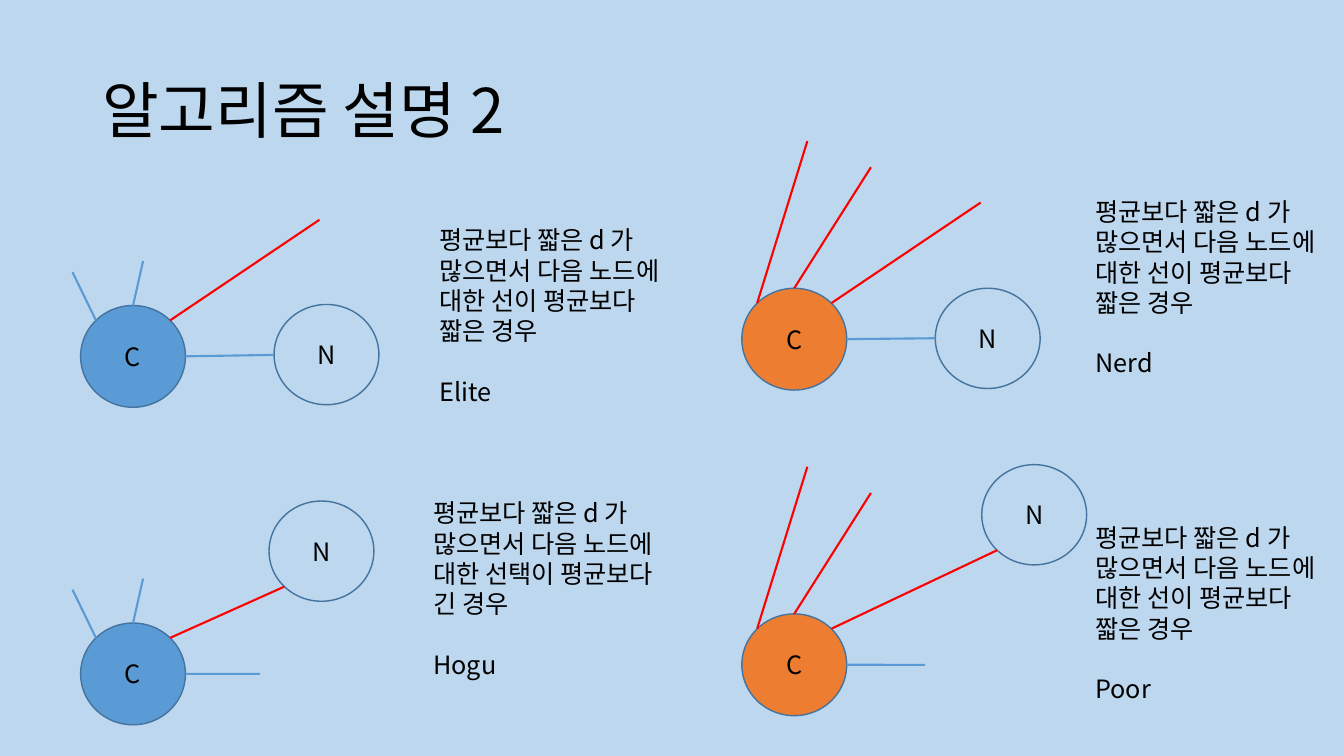
from lxml import etree
from pptx import Presentation
from pptx.dml.color import RGBColor
from pptx.enum.shapes import MSO_CONNECTOR as CONN, MSO_SHAPE as SHAPE
from pptx.enum.text import MSO_ANCHOR as ANCHOR, PP_ALIGN as ALIGN
from pptx.oxml.ns import qn
from pptx.util import Pt

# Content: positions in points; targets and next nodes are relative to the current node
TITLE = "알고리즘 설명 2"
FONT = "Noto Sans CJK KR"
COLORS = {"bg": "BDD7EE", "text": "000000", "outline": "43739E",
          "short": "5B9BD5", "long": "FF0000", "blue": "5B9BD5", "orange": "ED7D31"}
INTRO = ["평균보다 짧은 d 가 ", "많으면서 다음 노드에 "]
SHORTER = ["대한 선이 평균보다 ", "짧은 경우"]
LONGER = ["대한 선택이 평균보다 ", "긴 경우"]
CASES = [
    dict(name="Elite", reason=SHORTER, node=(57.6, 218.2), fill="blue", note=(306.7, 157),
         next=(138.2, -0.7), long_to=(170.6, -61.2), short_to=(138.2, 35.3)),
    dict(name="Hogu", reason=LONGER, node=(57.6, 445), fill="blue", note=(302.4, 352),
         next=(134.6, -87.1), long_to=(145.4, -25.9), short_to=(132 - 3.8, 36.4)),
    dict(name="Nerd", reason=SHORTER, node=(529.9, 205.9), fill="orange", note=(775.4, 136.8),
         next=(138.2, 0), long_to=(170.6, -61.2), short_to=(138.2, 35.7)),
    dict(name="Poor", reason=SHORTER, node=(529.9, 438.5), fill="orange", note=(775.4, 369.4),
         next=(171.4, -106.6), long_to=(182.2, -45.4), short_to=(131, 36.4)),
]
# Two further edges per node colour: edge kind, end from top, end from upper left
SPOKES = {"blue": ("short", (44.6, -31.7), (-5.8, -23.8)),
          "orange": ("long", (92.2, -86.4), (46.8, -105.1))}

# Node size and the points where edges touch it
NODE_W, NODE_H, NEXT_H = 74.9, 72.7, 71.6
DIAG = 0.146
TOP, RIGHT = (NODE_W / 2, 0), (NODE_W, NODE_H / 2)
UPPER_LEFT = (NODE_W * DIAG, NODE_H * DIAG)
UPPER_RIGHT = (NODE_W * (1 - DIAG), NODE_H * DIAG)
NOTE_W, NOTE_H, LINE_H = 197, 138, 21.6

prs = Presentation()
prs.slide_width, prs.slide_height = Pt(960), Pt(540)
s = prs.slides.add_slide(prs.slide_layouts[6])


def color(name):
    return RGBColor.from_string(COLORS[name])


s.background.fill.solid()
s.background.fill.fore_color.rgb = color("bg")


def style(p, size):
    p.font.size, p.font.name = Pt(size), FONT
    p.font.color.rgb = color("text")
    for r in p.runs:
        etree.SubElement(r._r.get_or_add_rPr(), qn("a:ea"), typeface=FONT)


def add_text(x, y, w, h, lines, size):
    tf = s.shapes.add_textbox(Pt(x), Pt(y), Pt(w), Pt(h)).text_frame
    tf.word_wrap = True
    tf.text = "\n".join(lines)
    for p in tf.paragraphs:
        style(p, size)
    return tf


def add_node(origin, offset, height, label, fill=None):
    x, y = origin[0] + offset[0], origin[1] + offset[1]
    sp = s.shapes.add_shape(SHAPE.OVAL, Pt(x), Pt(y), Pt(NODE_W), Pt(height))
    sp.shadow.inherit = False
    if fill:
        sp.fill.solid()
        sp.fill.fore_color.rgb = color(fill)
    else:
        sp.fill.background()
    sp.line.color.rgb, sp.line.width = color("outline"), Pt(1)
    tf = sp.text_frame
    tf.text, tf.vertical_anchor = label, ANCHOR.MIDDLE
    p = tf.paragraphs[0]
    p.alignment = ALIGN.CENTER
    style(p, 18)


def add_edge(origin, start, end, kind):
    x, y = origin
    c = s.shapes.add_connector(CONN.STRAIGHT, Pt(x + start[0]), Pt(y + start[1]),
                               Pt(x + end[0]), Pt(y + end[1]))
    c.line.color.rgb, c.line.width = color(kind), Pt(1.5)
    etree.SubElement(c._element.spPr, qn("a:effectLst"))


# Title
tf = add_text(66, 28.8, 828, 104.4, [TITLE], 44)
tf.vertical_anchor = ANCHOR.MIDDLE
tf.paragraphs[0].line_spacing = 0.9

# The four cases
for case in CASES:
    node = case["node"]
    add_node(node, (0, 0), NODE_H, "C", case["fill"])
    add_node(node, case["next"], NEXT_H, "N")
    add_edge(node, UPPER_RIGHT, case["long_to"], "long")
    add_edge(node, RIGHT, case["short_to"], "short")
    kind, from_top, from_left = SPOKES[case["fill"]]
    add_edge(node, TOP, from_top, kind)
    add_edge(node, UPPER_LEFT, from_left, kind)

    tf = add_text(*case["note"], NOTE_W, NOTE_H, INTRO + case["reason"] + [case["name"]], 18)
    tf.paragraphs[-1].space_before = Pt(LINE_H)

prs.save("out.pptx")
